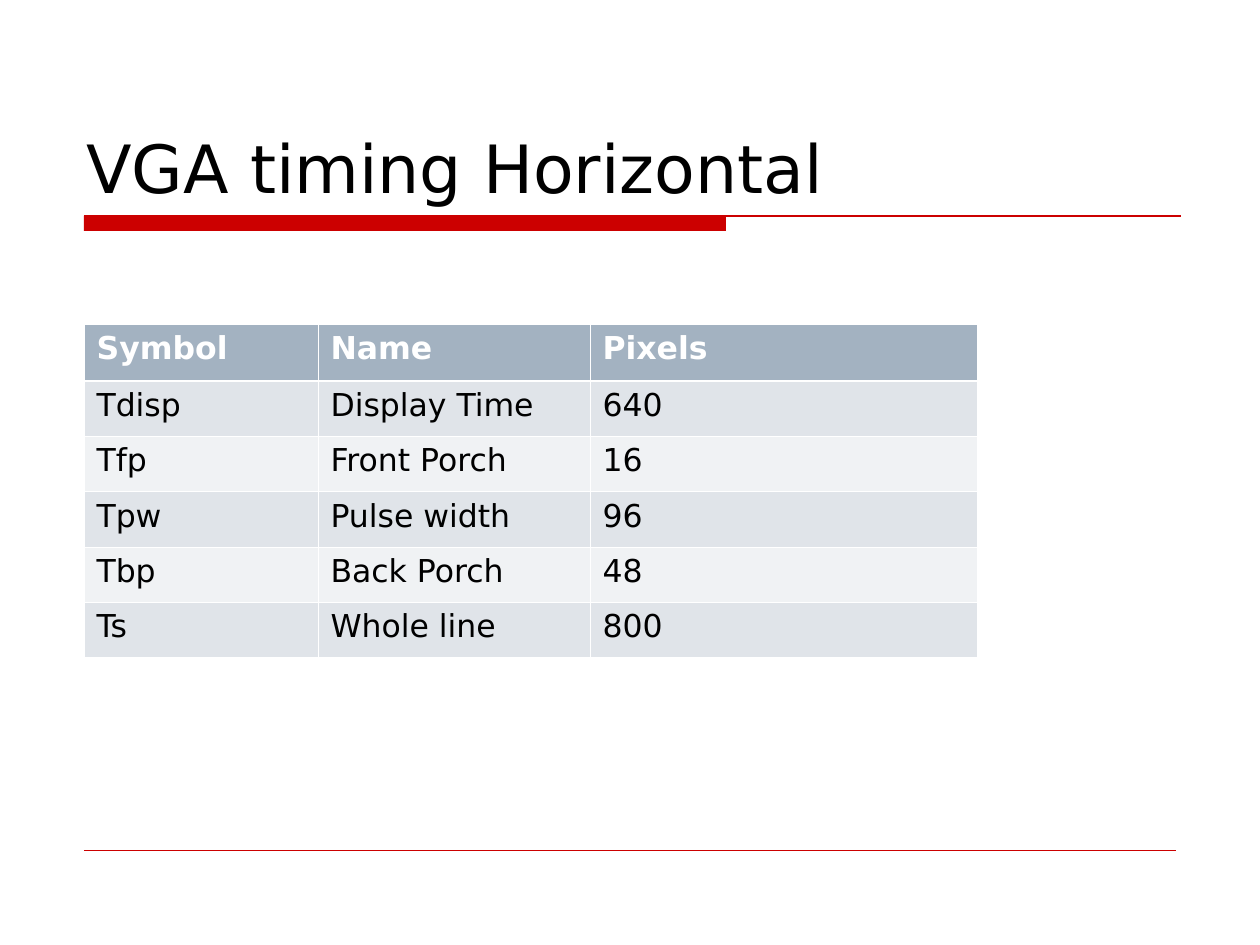
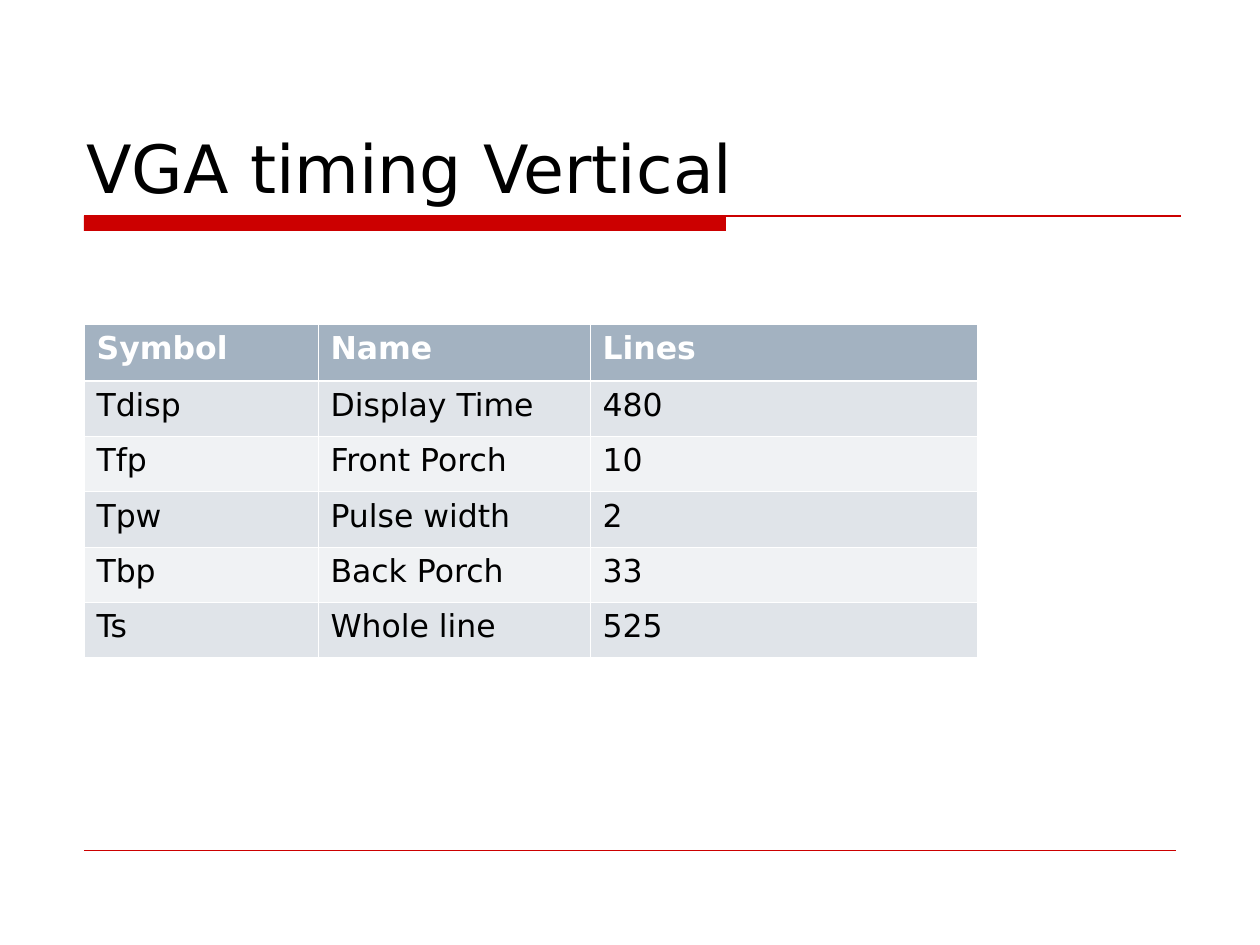
from lxml.etree import SubElement
from pptx import Presentation
from pptx.dml.color import RGBColor
from pptx.enum.shapes import MSO_CONNECTOR as CONN, MSO_SHAPE as SHAPE
from pptx.enum.text import MSO_ANCHOR as ANCHOR
from pptx.oxml.ns import qn
from pptx.util import Emu, Pt

BLACK = RGBColor(0x00, 0x00, 0x00)
WHITE = RGBColor(0xFF, 0xFF, 0xFF)
RED = RGBColor(0xCC, 0x00, 0x00)
HEADER_FILL = RGBColor(0xA3, 0xB2, 0xC1)
BAND_FILLS = (RGBColor(0xF0, 0xF2, 0xF4), RGBColor(0xE0, 0xE4, 0xE9))

FONT = "DejaVu Sans"
TITLE_FORMAT = {"name": FONT, "size": Pt(38), "bold": False}
HEADER_FORMAT = {"name": FONT, "size": Pt(18), "bold": True}
BODY_FORMAT = {"name": FONT, "size": Pt(18), "bold": False}

PAGE = (0, 0, 1260, 945)
TITLE_BOX = (74, 45, 1102, 168)
RULE_BOX = (84, 216, 1097, 15)
FOOTER_BOX = (84, 850, 1092, 0)
TABLE_BOX = (84, 324, 893, 334)
BAR_WIDTH = 642
COLUMN_WIDTHS = (234, 272, 387)
HEADER_HEIGHT = 57
THIN, THICK = Pt(0.45), Pt(1.47)

SYMBOLS = ("Tdisp", "Tfp", "Tpw", "Tbp", "Ts")
NAMES = ("Display Time", "Front Porch", "Pulse width", "Back Porch", "Whole line")
TIMINGS = (
    ("VGA timing Horizontal", "Pixels", (640, 16, 96, 48, 800)),
    ("VGA timing Vertical", "Lines", (480, 10, 2, 33, 525)),
)


def px(n):
    """Turn px into EMU."""
    return Emu(round(n * 914400 / 126))


def write(tf, text, color, formats):
    """Put one formatted run into a text frame."""
    r = tf.paragraphs[0].add_run()
    r.text = text
    for key, value in formats.items():
        setattr(r.font, key, value)
    r.font.color.rgb = color


def add_rule(s, box, weight):
    """Draw a red line along the top of the box."""
    x, y, w, _ = box
    line = s.shapes.add_connector(CONN.STRAIGHT, px(x), px(y), px(x + w), px(y))
    line.line.color.rgb = RED
    line.line.width = Pt(weight)
    SubElement(line._element.spPr, qn("a:effectLst"))


def add_title_rule(s, box):
    """Draw the thick bar hanging from the left of the title rule."""
    x, y, _, h = box
    bar = s.shapes.add_shape(SHAPE.RECTANGLE, px(x), px(y), px(BAR_WIDTH), px(h))
    bar.shadow.inherit = False
    bar.fill.solid()
    bar.fill.fore_color.rgb = RED
    bar.line.fill.background()
    add_rule(s, box, 0.75)


def add_title(s, box, text):
    """Write the title at the bottom of its box."""
    tf = s.shapes.add_textbox(*map(px, box)).text_frame
    tf.word_wrap = True
    tf.vertical_anchor = ANCHOR.BOTTOM
    write(tf, text, BLACK, TITLE_FORMAT)


def set_borders(cell, top, bottom):
    """Give a cell white borders with the chosen top and bottom widths."""
    tcPr = cell._tc.get_or_add_tcPr()
    for side, width in {"L": THIN, "R": THIN, "T": top, "B": bottom}.items():
        ln = SubElement(tcPr, qn(f"a:ln{side}"), w=str(int(width)))
        SubElement(SubElement(ln, qn("a:solidFill")), qn("a:srgbClr"), val=str(WHITE))


def add_timing_table(s, box, unit, values):
    """Build the banded table of timing values."""
    rows = [("Symbol", "Name", unit), *zip(SYMBOLS, NAMES, map(str, values))]
    table = s.shapes.add_table(len(rows), len(COLUMN_WIDTHS), *map(px, box)).table
    for column, width in zip(table.columns, COLUMN_WIDTHS):
        column.width = px(width)
    body_height = (box[3] - HEADER_HEIGHT) / len(values)
    for i, row in enumerate(rows):
        header = i == 0
        table.rows[i].height = px(HEADER_HEIGHT if header else body_height)
        for j, text in enumerate(row):
            cell = table.cell(i, j)
            set_borders(cell, THICK if i == 1 else THIN, THICK if header else THIN)
            cell.fill.solid()
            cell.fill.fore_color.rgb = HEADER_FILL if header else BAND_FILLS[i % 2]
            write(cell.text_frame, text, WHITE if header else BLACK,
                  HEADER_FORMAT if header else BODY_FORMAT)


def add_timing_slide(prs, title, unit, values):
    """Add a slide with a title, its rules and a timing table."""
    s = prs.slides.add_slide(prs.slide_layouts[6])
    add_title_rule(s, RULE_BOX)
    add_rule(s, FOOTER_BOX, 0.25)
    add_title(s, TITLE_BOX, title)
    add_timing_table(s, TABLE_BOX, unit, values)


def main():
    """Build and save the presentation."""
    prs = Presentation()
    prs.slide_width, prs.slide_height = map(px, PAGE[2:])
    for timing in TIMINGS:
        add_timing_slide(prs, *timing)
    prs.save("out.pptx")


if __name__ == "__main__":
    main()
